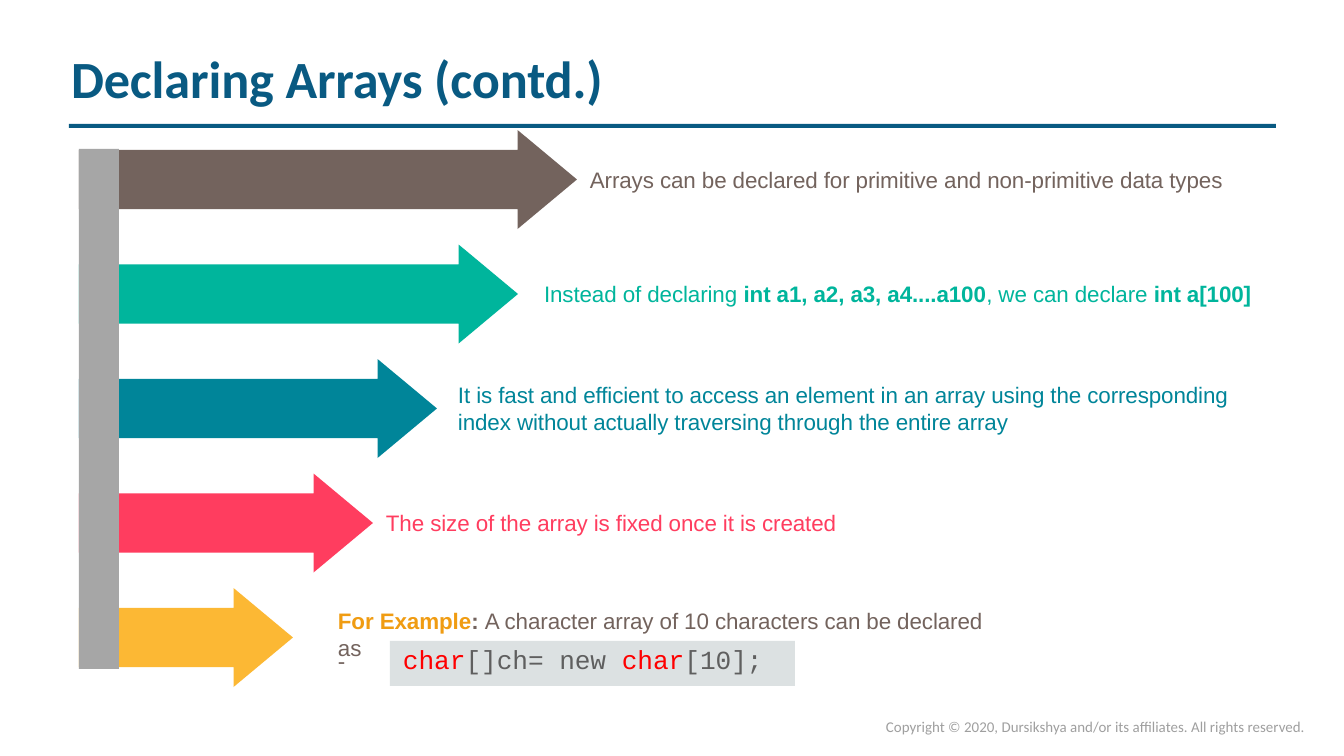
from pptx import Presentation
from pptx.dml.color import RGBColor
from pptx.enum.shapes import MSO_SHAPE
from pptx.enum.text import MSO_ANCHOR, MSO_AUTO_SIZE, PP_ALIGN
from pptx.util import Pt

PX = 914400 / 134.4  # EMU in one px

NAVY = RGBColor(0x09, 0x5A, 0x82)
BROWN = RGBColor(0x73, 0x63, 0x5D)
GREEN = RGBColor(0x00, 0xB5, 0x9C)
TEAL = RGBColor(0x00, 0x85, 0x99)
PINK = RGBColor(0xFF, 0x3D, 0x5F)
YELLOW = RGBColor(0xFC, 0xB8, 0x34)
ORANGE = RGBColor(0xF0, 0x9C, 0x12)
RED = RGBColor(0xFF, 0x00, 0x00)
POLE_GRAY = RGBColor(0xA6, 0xA6, 0xA6)
CODE_GRAY = RGBColor(0x5F, 0x5F, 0x5F)
CODE_FILL = RGBColor(0xDC, 0xE1, 0xE2)
FOOTER_GRAY = RGBColor(0x9F, 0x9F, 0x9F)

TITLE = "Declaring Arrays (contd.)"
COPYRIGHT = "Copyright © 2020, Dursikshya and/or its affiliates. All rights reserved."

# A line is a list of runs: (text, bold, colour or None for the colour of the box)
# Each point: arrow colour, text colour, arrow tip, text left, width, height, lines
POINTS = [
    (BROWN, BROWN, 577, 589, 645, 31,
     [[("Arrays can be declared for primitive and non-primitive data types", False, None)]]),
    (GREEN, GREEN, 518, 543, 722, 31,
     [[("Instead of declaring ", False, None), ("int a1, a2, a3, a4....a100", True, None),
       (", we can declare ", False, None), ("int a[100]", True, None)]]),
    (TEAL, TEAL, 437, 457, 785, 58,
     [[("It is fast and efficient to access an element in an array using the corresponding",
        False, None)],
      [("index without actually traversing through the entire array", False, None)]]),
    (PINK, PINK, 373, 385, 456, 31,
     [[("The size of the array is fixed once it is created", False, None)]]),
    (YELLOW, BROWN, 293, 337, 670, 64,
     [[("For Example", True, ORANGE), (": ", True, None),
       ("A character array of 10 characters can be declared as", False, None)]]),
]
CODE = [[("char", False, RED), ("[]ch= new ", False, None),
         ("char", False, RED), ("[10];", False, None)]]

ARROW_LEFT, ARROW_TOP, ARROW_HEIGHT, ARROW_PITCH = 79, 130, 99, 114.5


def px(*lengths):
    return [round(length * PX) for length in lengths]


def write(shape, lines, *, size, color, font="Arial", bold=False, left=1, top=2,
          spacing=-5, line_height=None):
    """Fill a shape with lines of runs; left and top are its insets in px."""
    frame = shape.text_frame
    frame.word_wrap = True
    frame.auto_size = MSO_AUTO_SIZE.NONE
    frame.vertical_anchor = MSO_ANCHOR.TOP
    frame.margin_left, frame.margin_top = px(left, top)
    frame.margin_right = frame.margin_bottom = 0
    for index, line in enumerate(lines):
        paragraph = frame.add_paragraph() if index else frame.paragraphs[0]
        paragraph.alignment = PP_ALIGN.LEFT
        if line_height:
            paragraph.line_spacing = Pt(line_height)
        for text, run_bold, run_color in line:
            run = paragraph.add_run()
            run.text = text
            run.font.name = font
            run.font.size = Pt(size)
            run.font.bold = bold or run_bold
            run.font.color.rgb = run_color or color
            run.font._element.set("spc", str(spacing))


def add_block(slide, kind, box, color):
    block = slide.shapes.add_shape(kind, *px(*box))
    block.shadow.inherit = False
    block.fill.solid()
    block.fill.fore_color.rgb = color
    block.line.fill.background()
    return block


def add_text(slide, box, lines, **style):
    write(slide.shapes.add_textbox(*px(*box)), lines, **style)


def main():
    deck = Presentation()
    deck.slide_width, deck.slide_height = px(1344, 756)
    slide = deck.slides.add_slide(deck.slide_layouts[5])

    title = slide.shapes.title
    title.left, title.top, title.width, title.height = px(69, 44, 560, 66)
    write(title, [[(TITLE, True, None)]], size=28, color=NAVY, font="Calibri", left=2)
    add_block(slide, MSO_SHAPE.RECTANGLE, (69, 124, 1207, 4), NAVY)

    for row, (fill, color, tip, left, width, height, lines) in enumerate(POINTS):
        top = ARROW_TOP + row * ARROW_PITCH
        arrow = add_block(slide, MSO_SHAPE.RIGHT_ARROW,
                          (ARROW_LEFT, top, tip - ARROW_LEFT, ARROW_HEIGHT), fill)
        arrow.adjustments[0] = arrow.adjustments[1] = 0.6
        middle = top + ARROW_HEIGHT / 2
        add_text(slide, (left, middle - height / 2, width, height), lines,
                 size=12, color=color)
    add_block(slide, MSO_SHAPE.RECTANGLE, (ARROW_LEFT, 149, 40, 520), POLE_GRAY)

    add_text(slide, (337, 645, 11, 31), [[("-", False, None)]], size=12, color=BROWN)
    code_box = add_block(slide, MSO_SHAPE.RECTANGLE, (390, 641, 405, 45), CODE_FILL)
    write(code_box, CODE, size=14, color=CODE_GRAY, font="Courier New", left=13)
    add_text(slide, (885, 719, 431, 19), [[(COPYRIGHT, False, None)]], size=8,
             color=FOOTER_GRAY, font="Calibri", top=0, spacing=0, line_height=8.7)

    deck.save("out.pptx")


if __name__ == "__main__":
    main()
